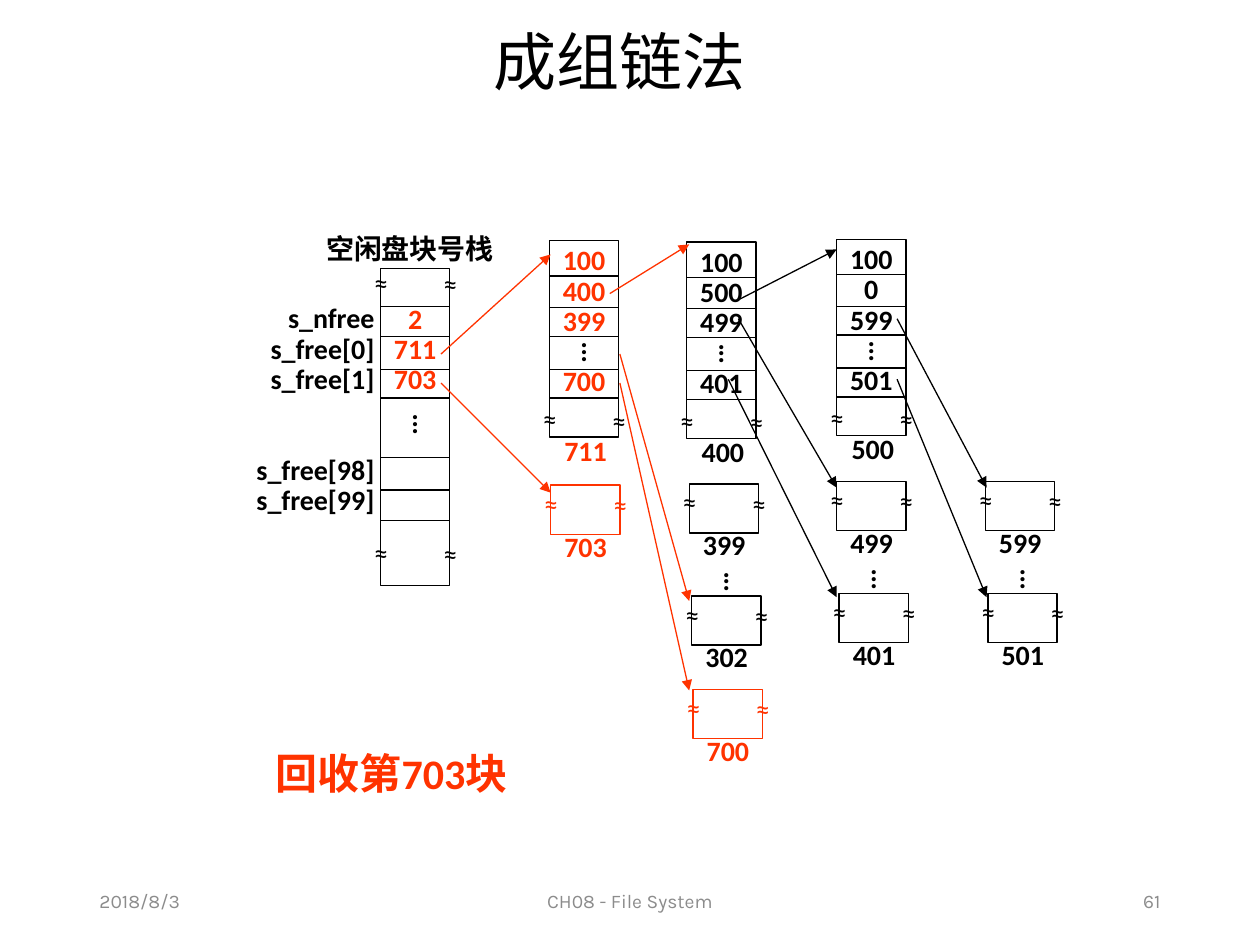
from dataclasses import dataclass

from lxml.etree import SubElement
from pptx import Presentation
from pptx.dml.color import RGBColor
from pptx.enum.shapes import MSO_CONNECTOR, MSO_SHAPE
from pptx.enum.text import MSO_ANCHOR, PP_ALIGN
from pptx.oxml.ns import qn
from pptx.util import Inches, Pt


@dataclass(frozen=True)
class Theme:
    black: str = "000000"
    red: str = "FF3300"
    gray: str = "8C8C8C"
    latin: str = "Calibri"
    cjk: str = "Noto Sans CJK SC"
    footer_font: str = "Karla"
    title_size: float = 36
    note_size: float = 24
    body_size: float = 16
    footer_size: float = 11
    line: float = 0.75
    row_pitch: float = 17.4


THEME = Theme()
BLOCK_W = 0.55
CELL_H = 0.39
COLUMN_H = 1.56
COLUMN_RULES = (0.28, 0.53, 0.76, 1.02, 1.25)
STACK_RULES = (0.3, 0.54, 0.8, 1.03, 1.5, 1.76, 2)


def write(tf, rows, size=THEME.body_size, color=THEME.black, bold=True,
          font=THEME.latin, align=PP_ALIGN.LEFT, spacing=None,
          anchor=MSO_ANCHOR.TOP):
    tf.word_wrap = True
    tf.vertical_anchor = anchor
    rows = [rows] if isinstance(rows, str) else rows
    gap, first = 0, True
    for row in rows:
        if row is None:
            gap += THEME.row_pitch
            continue
        p = tf.paragraphs[0] if first else tf.add_paragraph()
        if first:
            tf.margin_top = Inches(0.05) + Pt(gap)
        elif gap:
            p.space_before = Pt(gap)
        gap, first = 0, False
        p.alignment = align
        p.line_spacing = spacing
        r = p.add_run()
        r.text = row
        r.font.size = Pt(size)
        r.font.bold = bold
        r.font.name = font
        r.font.color.rgb = RGBColor.from_string(color)
        SubElement(r.font._element, qn("a:ea"), typeface=THEME.cjk)


class Diagram:
    def __init__(self, theme, slide):
        self.theme = theme
        self.s = slide

    def title(self, text):
        sp = self.s.shapes.title
        sp.left, sp.top = Inches(0.61), Inches(0.14)
        sp.width, sp.height = Inches(8.62), Inches(0.76)
        write(sp.text_frame, text, size=self.theme.title_size, bold=False,
              font=self.theme.cjk, align=PP_ALIGN.CENTER, spacing=0.9,
              anchor=MSO_ANCHOR.MIDDLE)

    def text(self, rows, x, y, w, h, **fmt):
        sp = self.s.shapes.add_textbox(Inches(x), Inches(y), Inches(w), Inches(h))
        write(sp.text_frame, rows, **fmt)

    def footer(self, text, x, w, align):
        self.text(text, x, 6.95, w, 0.4, size=self.theme.footer_size,
                  color=self.theme.gray, bold=False, font=self.theme.footer_font,
                  align=align, anchor=MSO_ANCHOR.MIDDLE)

    def box(self, x, y, h, color):
        sp = self.s.shapes.add_shape(MSO_SHAPE.RECTANGLE, Inches(x), Inches(y),
                                     Inches(BLOCK_W), Inches(h))
        sp.shadow.inherit = False
        sp.fill.background()
        sp.line.color.rgb = RGBColor.from_string(color)
        sp.line.width = Pt(self.theme.line)
        return sp

    def line(self, start, end, color=THEME.black, arrow=False):
        cx = self.s.shapes.add_connector(MSO_CONNECTOR.STRAIGHT,
                                         *map(Inches, start + end))
        cx.line.color.rgb = RGBColor.from_string(color)
        cx.line.width = Pt(self.theme.line)
        if arrow:
            SubElement(cx.line._get_or_add_ln(), qn("a:tailEnd"), type="triangle")
        SubElement(cx._element.spPr, qn("a:effectLst"))

    def breaks(self, x, y, color=THEME.black):
        for dx, dy in ((0.4, 0.01), (-0.15, 0)):
            self.text("≈", x + dx, y + dy, 0.31, 0.37, color=color, bold=False)

    def dots(self, x, y):
        self.text(["."] * 3, x + 0.12, y, 0.31, 0.26,
                  align=PP_ALIGN.CENTER, spacing=0.2)

    def ruled(self, rows, x, y, h, rules, color):
        sp = self.box(x, y, h, self.theme.black)
        write(sp.text_frame, rows, color=color, align=PP_ALIGN.CENTER, spacing=0.9)
        for dy in rules:
            self.line((x, y + dy), (x + BLOCK_W, y + dy))

    def caption(self, text, x, y, color):
        self.text(text, x, y, BLOCK_W, 0.37, color=color)

    def column(self, label, rows, x, y, color=THEME.black):
        self.ruled(rows, x, y, COLUMN_H, COLUMN_RULES, color)
        self.breaks(x, y + 1.23)
        self.dots(x, y + 0.76)
        self.caption(label, x + 0.02, y + 1.48, color)

    def cell(self, label, x, y, color=THEME.black):
        self.box(x, y, CELL_H, color)
        self.breaks(x, y - 0.04, color)
        self.caption(label, x + 0.01, y + 0.3, color)

    def stack(self, x, y):
        self.ruled([None, "2", "711", "703"], x, y, 2.52, STACK_RULES,
                   self.theme.red)
        self.dots(x, y + 1.11)
        self.breaks(x, y - 0.07)
        self.breaks(x, y + 2.07)
        self.text("空闲盘块号栈", 2.49, 1.79, 1.57, 0.37)
        self.text(["s_nfree", "s_free[0]", "s_free[1]", None, None,
                   "s_free[98]", "s_free[99]"], 1.85, 2.37, 1.22, 1.79,
                  align=PP_ALIGN.RIGHT, spacing=0.9)


def main():
    prs = Presentation()
    prs.slide_width, prs.slide_height = Inches(10), Inches(7.5)
    d = Diagram(THEME, prs.slides.add_slide(prs.slide_layouts[5]))
    red = THEME.red

    d.title("成组链法")
    d.footer("2018/8/3", 0.69, 2.25, PP_ALIGN.LEFT)
    d.footer("CH08 - File System", 3.31, 3.38, PP_ALIGN.CENTER)
    d.footer("61", 7.06, 2.25, PP_ALIGN.RIGHT)

    d.stack(3.02, 2.13)
    d.column("711", ["100", "400", "399", None, "700"], 4.36, 1.91, red)
    d.column("400", ["100", "500", "499", None, "401"], 5.45, 1.92)
    d.column("500", ["100", "0", "599", None, "501"], 6.64, 1.9)

    for first, last, x, y in (("399", "302", 5.47, 3.84),
                              ("499", "401", 6.64, 3.82),
                              ("599", "501", 7.82, 3.82)):
        d.cell(first, x, y)
        d.dots(x + 0.02, y + 0.65)
        d.cell(last, x + 0.02, y + 0.89)
    d.cell("703", 4.37, 3.85, red)
    d.cell("700", 5.5, 5.47, red)

    for start, end, color in (
        ((3.5, 2.81), (4.37, 2.02), red),
        ((3.5, 3.04), (4.37, 3.91), red),
        ((4.84, 2.33), (5.47, 1.94), red),
        ((4.92, 2.81), (5.47, 4.77), red),
        ((4.92, 3.04), (5.47, 5.48), red),
        ((5.86, 2.38), (6.64, 1.98), THEME.black),
        ((5.86, 2.53), (6.64, 3.87), THEME.black),
        ((5.78, 3.01), (6.64, 4.74), THEME.black),
        ((7.12, 2.53), (7.83, 3.87), THEME.black),
        ((7.12, 3.01), (7.83, 4.74), THEME.black),
    ):
        d.line(start, end, color, arrow=True)

    d.text("回收第703块", 2.09, 5.88, 2.2, 0.5, size=THEME.note_size, color=red)
    prs.save("out.pptx")


if __name__ == "__main__":
    main()
